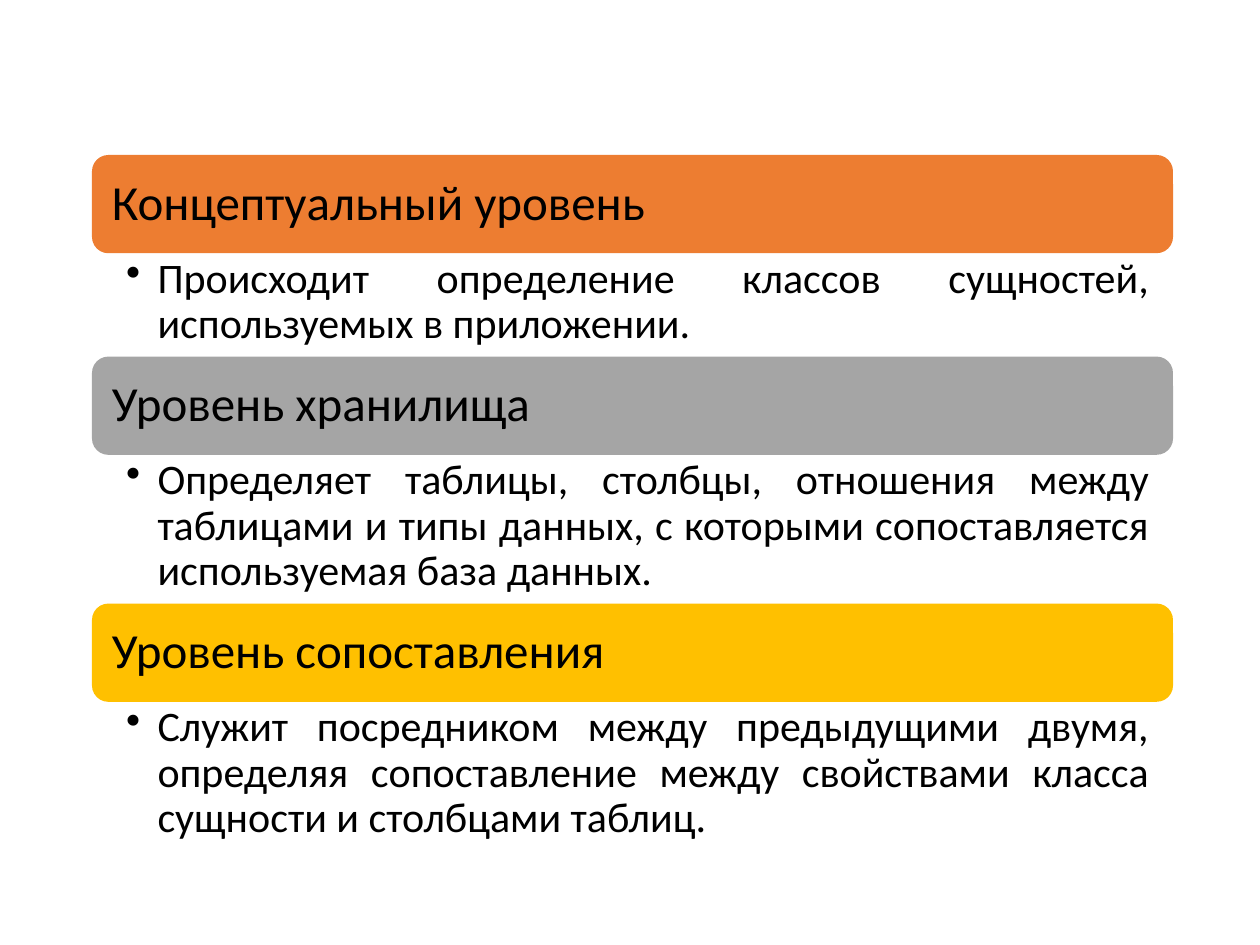
import pptx
import pptx.util
import pptx.dml.color
import pptx.enum.shapes
import pptx.enum.text
import lxml.etree
from pptx.util import Inches

COLORS = {"orange": "ED7D31", "gray": "A5A5A5", "gold": "FFC000", "black": "000000"}
LEFT, TOP, WIDTH, HEAD = 0.73, 1.23, 8.58, 0.78
LEVELS = [
    ("Концептуальный уровень", "orange", 0.82,
     "Происходит определение классов сущностей, используемых в приложении."),
    ("Уровень хранилища", "gray", 1.18,
     "Определяет таблицы, столбцы, отношения между таблицами и типы данных, "
     "с которыми сопоставляется используемая база данных."),
    ("Уровень сопоставления", "gold", 1.18,
     "Служит посредником между предыдущими двумя, определяя сопоставление "
     "между свойствами класса сущности и столбцами таблиц."),
]


def color(name):
    return pptx.dml.color.RGBColor.from_string(COLORS[name])


def write(shape, text, size, align, anchor, insets):
    frame = shape.text_frame
    frame.word_wrap = True
    frame.vertical_anchor = anchor
    (frame.margin_left, frame.margin_top,
     frame.margin_right, frame.margin_bottom) = map(Inches, insets)
    para = frame.paragraphs[0]
    para.alignment = align
    para.line_spacing = 0.9
    run = para.add_run()
    run.text = text
    run.font.size = pptx.util.Pt(size)
    run.font.name = "Calibri"
    run.font.color.rgb = color("black")
    return para


def bullet(para):
    para.level = 1
    props = para._p.get_or_add_pPr()
    props.set("marL", str(Inches(0.25)))
    props.set("indent", str(-Inches(0.25)))
    mark = lxml.etree.SubElement(props, pptx.oxml.ns.qn("a:buChar"))
    mark.set("char", "•")


def header(slide, top, text, fill):
    bar = slide.shapes.add_shape(
        pptx.enum.shapes.MSO_SHAPE.ROUNDED_RECTANGLE,
        Inches(LEFT), Inches(top), Inches(WIDTH), Inches(HEAD))
    bar.shadow.inherit = False
    bar.fill.solid()
    bar.fill.fore_color.rgb = color(fill)
    bar.line.fill.background()
    write(bar, text, size=28, align=pptx.enum.text.PP_ALIGN.LEFT,
          anchor=pptx.enum.text.MSO_ANCHOR.MIDDLE, insets=(0.12, 0.12, 0.12, 0.12))


def detail(slide, top, height, text):
    box = slide.shapes.add_textbox(
        Inches(LEFT), Inches(top), Inches(WIDTH), Inches(height))
    bullet(write(box, text, size=24, align=pptx.enum.text.PP_ALIGN.JUSTIFY,
                 anchor=pptx.enum.text.MSO_ANCHOR.TOP, insets=(0.27, 0.03, 0.19, 0.03)))


def main():
    deck = pptx.Presentation()
    deck.slide_width, deck.slide_height = Inches(10), Inches(7.5)
    slide = deck.slides.add_slide(deck.slide_layouts[6])
    top = TOP
    for title, fill, height, text in LEVELS:
        header(slide, top, title, fill)
        detail(slide, top + HEAD, height, text)
        top += HEAD + height
    deck.save("out.pptx")


if __name__ == "__main__":
    main()
